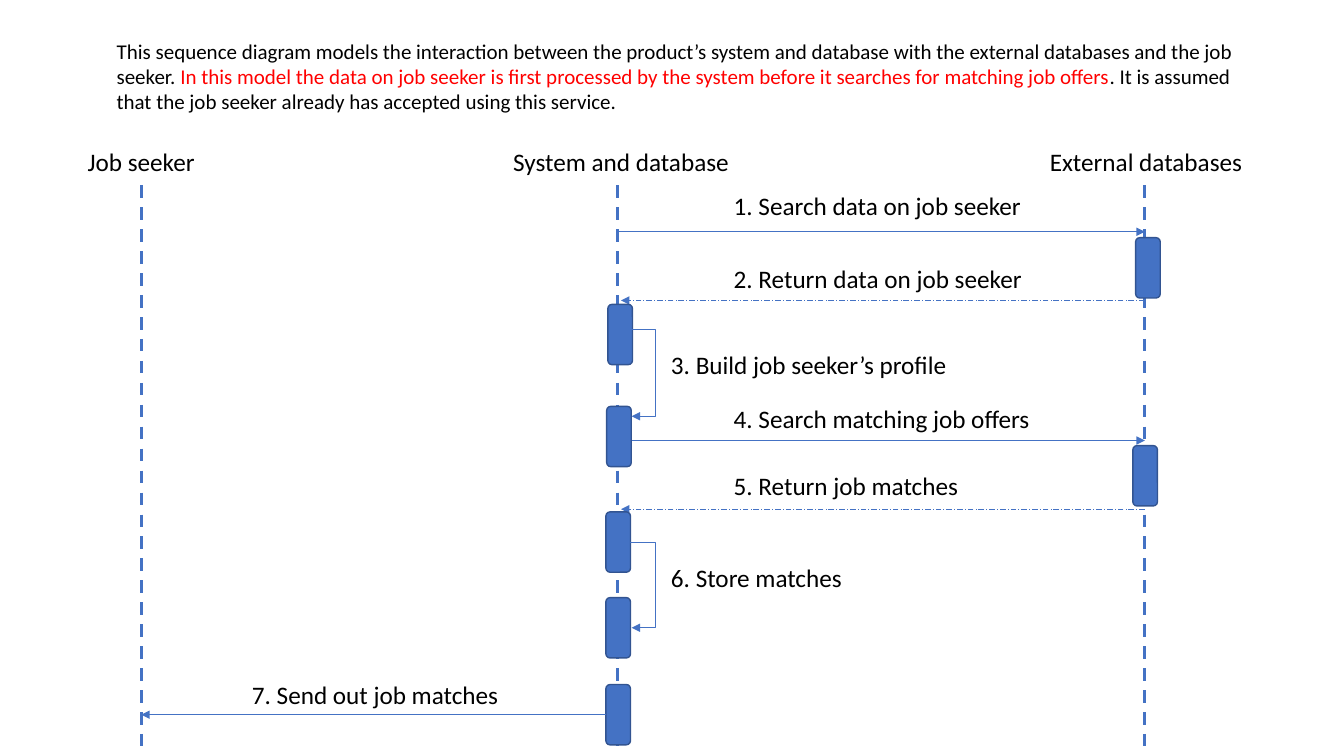
from dataclasses import dataclass
from lxml.etree import SubElement as Sub
from pptx import Presentation
from pptx.dml.color import RGBColor as Rgb
from pptx.enum.dml import MSO_LINE as Dash
from pptx.enum.shapes import MSO_CONNECTOR as Link, MSO_SHAPE as Form
from pptx.enum.text import MSO_AUTO_SIZE as Fit, PP_ALIGN as Align
from pptx.oxml.ns import qn
from pptx.util import Cm, Pt


@dataclass(frozen=True)
class Theme:
    """Colours, font and type sizes of the slide."""
    ink: str = "000000"
    alert: str = "FF0000"
    blue: str = "4472C4"
    edge: str = "325491"
    font: str = "Calibri"
    label: float = 18
    body: float = 15
    thin: float = 0.5
    rim: float = 1
    life: float = 2.25


THEME = Theme()
INTRO = [
    ("This sequence diagram models the interaction between the product’s system "
     "and database with the external databases and the job seeker. ", THEME.ink),
    ("In this model the data on job seeker is first processed by the system "
     "before it searches for matching job offers", THEME.alert),
    (". It is assumed that the job seeker already has accepted using this service.",
     THEME.ink),
]
SEEK, SYS, EXT = 1.96, 13.97, 27.25
ACTORS = [("Job seeker", SEEK, 0, 3.91),
          ("System and database", SYS, 0.08, 6.25),
          ("External databases", EXT, 0.03, 6.81)]
BARS = [(EXT, 0.08, 2.43), (EXT, 0.01, 7.67), (SYS, 0.06, 4.11), (SYS, 0.03, 6.68),
        (SYS, 0.01, 9.34), (SYS, 0.01, 11.5), (SYS, 0.01, 13.69)]
CALLS = [("1. Search data on job seeker", 2.28, 1.11),
         ("4. Search matching job offers", 7.54, 6.47)]
REPLIES = [("2. Return data on job seeker", 4.01, 2.94),
           ("5. Return job matches", 9.27, 8.17)]
LOOPS = [("3. Build job seeker’s profile", 4.75, 6.93, 5.13, None),
         ("6. Store matches", 10.1, 12.26, 10.49, 4)]
BAR_W, BAR_H = 0.62, 1.52
TEXT_W, TEXT_H = 8.53, 1.02
REACH = 0.94


def style(item, **values):
    """Set each format value on the item."""
    for name, value in values.items():
        setattr(item, name, value)


def write(slide, box, runs, size, align=None):
    """Add a text box holding one paragraph of coloured runs."""
    frame = slide.shapes.add_textbox(*map(Cm, box)).text_frame
    style(frame, word_wrap=True, auto_size=Fit.SHAPE_TO_FIT_TEXT)
    para = frame.paragraphs[0]
    para.alignment = align
    for text, ink in runs:
        run = para.add_run()
        run.text = text
        style(run.font, name=THEME.font, size=Pt(size))
        run.font.color.rgb = Rgb.from_string(ink)


def label(slide, x, y, text, width=TEXT_W, align=None):
    """Add a single label in the main type size."""
    write(slide, (x, y, width, TEXT_H), [(text, THEME.ink)], THEME.label, align)


def wire(slide, start, end, width=THEME.thin, dash=None, head=True, kind=Link.STRAIGHT):
    """Add a connector, with an arrowhead at its end if wanted."""
    line = slide.shapes.add_connector(kind, *map(Cm, start + end))
    line.line.color.rgb = Rgb.from_string(THEME.blue)
    style(line.line, width=Pt(width), dash_style=dash)
    props = line._element.spPr
    if head:
        Sub(props.find(qn("a:ln")), qn("a:tailEnd"), type="triangle")
    Sub(props, qn("a:effectLst"))
    return line


def bar(slide, x, y):
    """Add an activation bar centred on x."""
    box = x - BAR_W / 2, y, BAR_W, BAR_H
    shape = slide.shapes.add_shape(Form.ROUNDED_RECTANGLE, *map(Cm, box))
    shape.shadow.inherit = False
    shape.fill.solid()
    shape.fill.fore_color.rgb = Rgb.from_string(THEME.blue)
    shape.line.color.rgb = Rgb.from_string(THEME.edge)
    shape.line.width = Pt(THEME.rim)
    return shape


def loop(slide, x, top, low, source):
    """Add an elbow arrow that leaves and returns on the right of x."""
    line = wire(slide, (x + BAR_W / 2, top), (x + BAR_W / 2 + 0.04, low), kind=Link.ELBOW)
    if source:
        line.begin_connect(source, 3)
    bend = round((Cm(x + REACH) - line.begin_x) / line.width * 100000)
    geom = line._element.spPr.find(qn("a:prstGeom"))
    rules = geom.find(qn("a:avLst"))
    if rules is None:
        rules = Sub(geom, qn("a:avLst"))
    Sub(rules, qn("a:gd"), name="adj1", fmla=f"val {bend}")


def intro(slide, box):
    """Place the introduction in its box."""
    write(slide, box, INTRO, THEME.body)


def diagram(slide, box):
    """Place the sequence diagram in its box."""
    left, top, _, height = box
    for name, x, shift, width in ACTORS:
        wire(slide, (left + x, top + 1.11), (left + x, top + height),
             THEME.life, Dash.DASH, head=False)
        label(slide, left + x + shift - width / 2, top, name, width, Align.CENTER)
    seek, system, ext = left + SEEK, left + SYS, left + EXT
    for rows, start, end, dash in ((CALLS, system, ext, None),
                                   (REPLIES, ext, system + 0.08, Dash.LONG_DASH_DOT)):
        for text, y, rise in rows:
            wire(slide, (start, top + y), (end, top + y), dash=dash)
            label(slide, left + 16.64, top + rise, text)
    bars = [bar(slide, left + x + shift, top + y) for x, shift, y in BARS]
    for text, start, end, y, index in LOOPS:
        loop(slide, system, top + start, top + end, bars[index] if index else None)
        label(slide, left + 15.06, top + y, text)
    y = top + BARS[-1][2] + BAR_H / 2
    wire(slide, (system, y), (seek, y)).begin_connect(bars[-1], 1)
    label(slide, left + 4.5, top + 13.43, "7. Send out job matches")


def main():
    """Build and save the slide."""
    deck = Presentation()
    style(deck, slide_width=Cm(33.87), slide_height=Cm(19.05))
    slide = deck.slides.add_slide(deck.slide_layouts[6])
    diagram(slide, (1.6, 3.56, 30.69, 15.24))
    intro(slide, (2.69, 0.84, 28.68, 2.18))
    deck.save("out.pptx")


if __name__ == "__main__":
    main()
